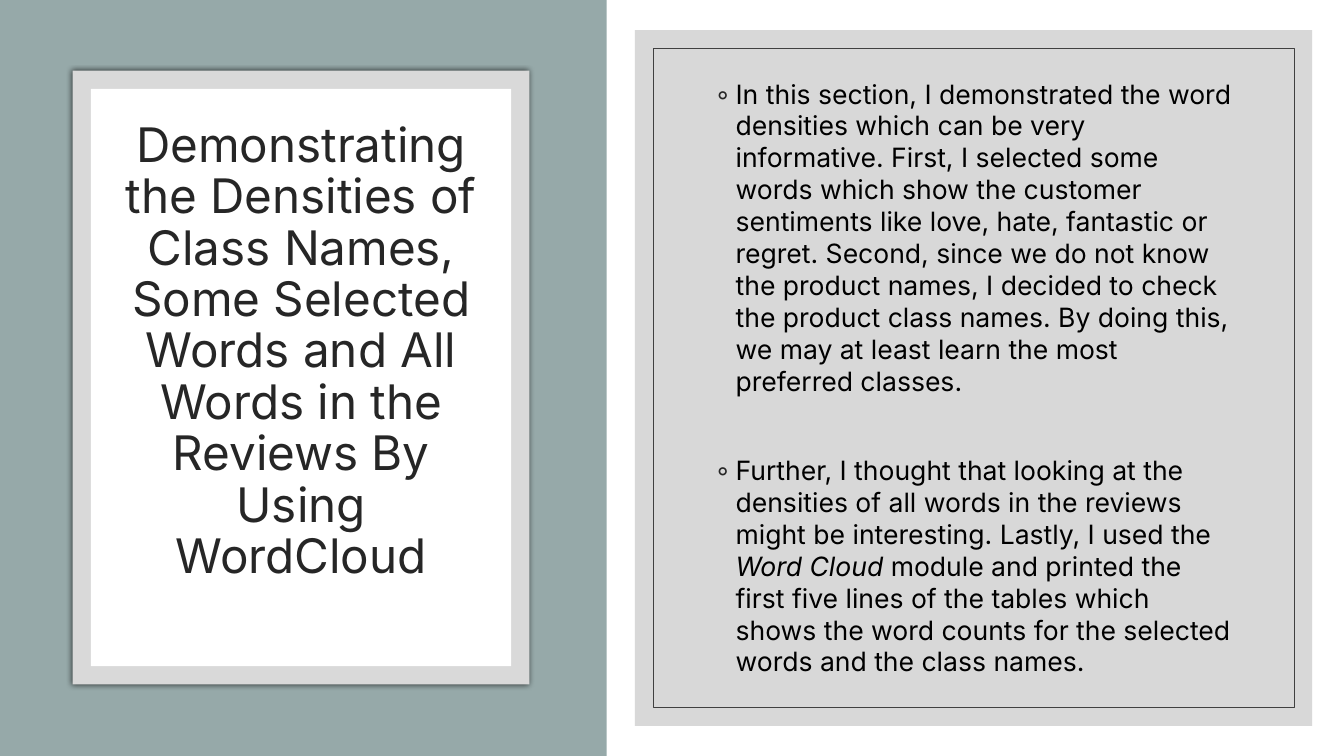
from dataclasses import dataclass
from typing import Optional

from lxml.etree import SubElement
from pptx import Presentation
from pptx.dml.color import RGBColor
from pptx.enum.shapes import MSO_SHAPE
from pptx.enum.text import MSO_ANCHOR, MSO_AUTO_SIZE, PP_ALIGN
from pptx.oxml.ns import qn
from pptx.util import Cm, Pt


@dataclass(frozen=True)
class Theme:
    """Colours, font and type sizes of the slide."""
    font: str = "Inter"
    white: str = "FFFFFF"
    sage: str = "96A9A9"
    frame: str = "D9D9D9"
    panel: str = "BFBFBF"
    outline: str = "404040"
    heading: str = "262626"
    body: str = "000000"
    heading_size: float = 34
    body_size: float = 19


@dataclass(frozen=True)
class Panel:
    """A rectangle with lengths in centimetres."""
    left: float
    top: float
    width: float
    height: float
    fill: Optional[str] = None
    opacity: int = 100
    line: Optional[str] = None
    shadow: bool = False


@dataclass(frozen=True)
class Span:
    """A piece of text, italic or upright."""
    text: str
    italic: bool = False


@dataclass(frozen=True)
class Bullet:
    """A bulleted paragraph and the space above it in points."""
    spans: tuple[Span, ...]
    space_before: float


THEME = Theme()

PANELS = (
    Panel(0, 0, 33.87, 19.05, THEME.white),
    Panel(-0.03, 0, 15.32, 19.05, THEME.sage),
    Panel(1.83, 1.78, 11.51, 15.47, THEME.frame, shadow=True),
    Panel(2.29, 2.24, 10.59, 14.55, THEME.white),
    Panel(16, 0.76, 17.07, 17.53, THEME.panel, opacity=60),
    Panel(16.46, 1.22, 16.15, 16.61, line=THEME.outline),
)

HEADING = (
    "Demonstrating the Densities of Class Names, Some Selected Words "
    "and All Words in the Reviews By Using WordCloud"
)

BULLETS = (
    Bullet((Span(
        "In this section, I demonstrated the word densities which can be very "
        "informative. First, I selected some words which show the customer "
        "sentiments like love, hate, fantastic or regret. Second, since we do "
        "not know the product names, I decided to check the product class "
        "names. By doing this, we may at least learn the most preferred classes."
    ),), 9),
    Bullet((
        Span("Further, I thought that looking at the densities of all words in "
             "the reviews might be interesting. Lastly, I used the "),
        Span("Word Cloud", italic=True),
        Span(" module and printed the first five lines of the tables which "
             "shows the word counts for the selected words and the class names."),
    ), 41),
)


def add_colour(parent, colour: str, opacity: int = 100) -> None:
    """Add an XML colour with an opacity in percent."""
    element = SubElement(parent, qn("a:srgbClr"), val=colour)
    SubElement(element, qn("a:alpha"), val=str(opacity * 1000))


def add_panel(page, panel: Panel) -> None:
    """Draw one rectangle."""
    shape = page.shapes.add_shape(
        MSO_SHAPE.RECTANGLE, Cm(panel.left), Cm(panel.top),
        Cm(panel.width), Cm(panel.height))
    shape.shadow.inherit = False
    if panel.fill:
        shape.fill.solid()
        shape.fill.fore_color.rgb = RGBColor.from_string(panel.fill)
    else:
        shape.fill.background()
    if panel.opacity < 100:
        solid = shape.fill._xPr.find(qn("a:solidFill"))
        solid.clear()
        add_colour(solid, panel.fill, panel.opacity)
    if panel.line:
        shape.line.color.rgb = RGBColor.from_string(panel.line)
        shape.line.width = Pt(0.5)
    else:
        shape.line.fill.background()
    if panel.shadow:
        effects = shape._element.spPr.find(qn("a:effectLst"))
        outer = SubElement(effects, qn("a:outerShdw"), blurRad=str(Pt(4)),
                           dist="0", dir="0", algn="ctr", rotWithShape="0")
        add_colour(outer, "000000", 66)


def add_span(para, text: str, *, size: float, colour: str,
             italic: bool = False) -> None:
    """Add formatted text to a paragraph."""
    span = para.add_run()
    span.text = text
    span.font.name = THEME.font
    span.font.size = Pt(size)
    span.font.italic = italic
    span.font.bold = False
    span.font.color.rgb = RGBColor.from_string(colour)


def prepare_frame(box):
    """Make a wrapped, middle-anchored text frame of fixed size."""
    frame = box.text_frame
    frame.word_wrap = True
    frame.auto_size = MSO_AUTO_SIZE.NONE
    frame.vertical_anchor = MSO_ANCHOR.MIDDLE
    return frame


def set_bullet(para) -> None:
    """Give a paragraph a hanging ring bullet."""
    properties = para._p.get_or_add_pPr()
    properties.set("marL", str(Cm(0.51)))
    properties.set("indent", str(Cm(-0.51)))
    add_colour(SubElement(properties, qn("a:buClr")), THEME.heading)
    SubElement(properties, qn("a:buFont"), typeface=THEME.font)
    SubElement(properties, qn("a:buChar"), char="◦")


def add_heading(page) -> None:
    """Place and format the title above the panels."""
    title = page.shapes.title
    page.shapes._spTree.append(title._element)
    title.left, title.top = Cm(2.74), Cm(3.3)
    title.width, title.height = Cm(9.7), Cm(12.47)
    frame = prepare_frame(title)
    frame.margin_bottom = Cm(1.43)
    para = frame.paragraphs[0]
    para.alignment = PP_ALIGN.CENTER
    para.line_spacing = 0.9
    add_span(para, HEADING, size=THEME.heading_size, colour=THEME.heading)


def add_body(page) -> None:
    """Place the bulleted text."""
    box = page.shapes.add_textbox(Cm(17.78), Cm(2.59), Cm(13.54), Cm(13.84))
    frame = prepare_frame(box)
    for index, bullet in enumerate(BULLETS):
        para = frame.add_paragraph() if index else frame.paragraphs[0]
        para.space_before = Pt(bullet.space_before)
        set_bullet(para)
        for span in bullet.spans:
            add_span(para, span.text, size=THEME.body_size,
                     colour=THEME.body, italic=span.italic)


def main() -> None:
    """Build and save the deck."""
    deck = Presentation()
    deck.slide_width, deck.slide_height = Cm(33.87), Cm(19.05)
    page = deck.slides.add_slide(deck.slide_layouts[5])
    for panel in PANELS:
        add_panel(page, panel)
    add_heading(page)
    add_body(page)
    deck.save("out.pptx")


if __name__ == "__main__":
    main()
